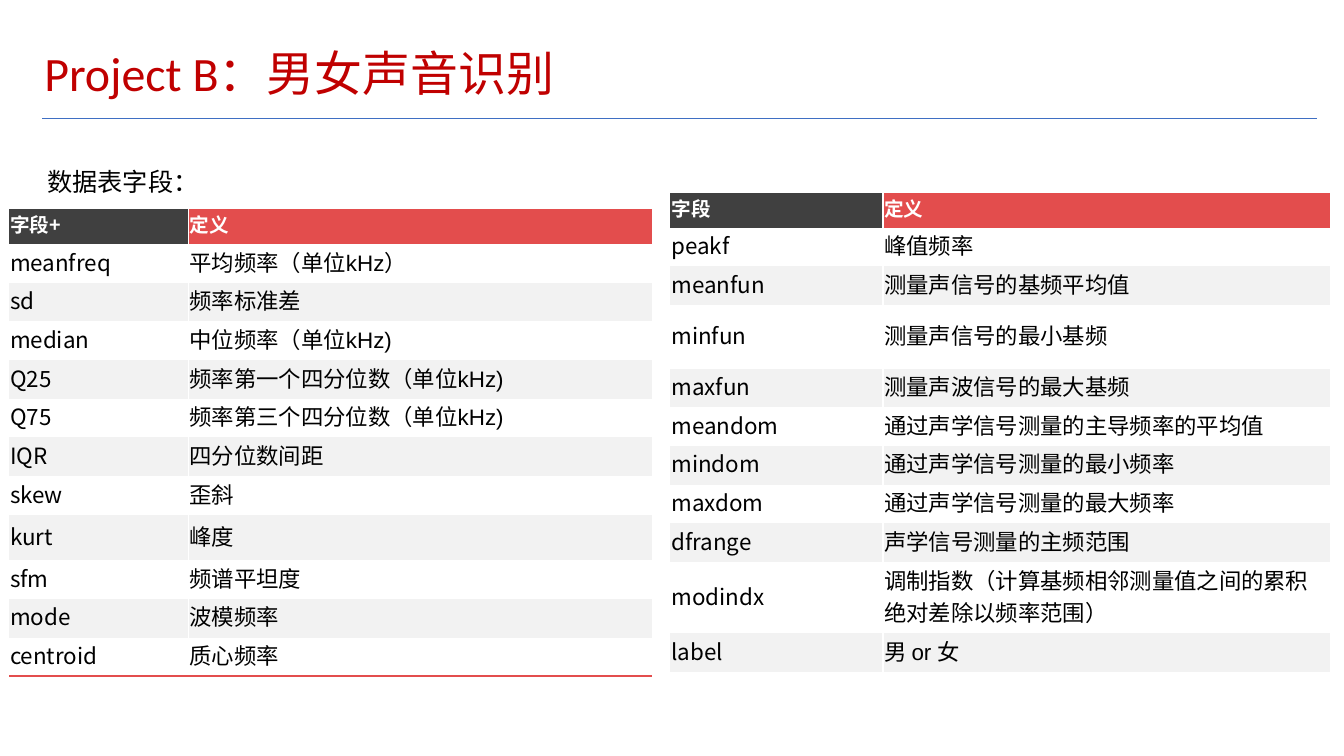
from dataclasses import dataclass
from typing import Any

from lxml.etree import SubElement
from pptx import Presentation
from pptx.dml.color import RGBColor
from pptx.enum.shapes import MSO_CONNECTOR
from pptx.enum.text import MSO_ANCHOR
from pptx.oxml import parse_xml
from pptx.oxml.ns import nsdecls, qn
from pptx.slide import Slide
from pptx.util import Inches, Pt


@dataclass(frozen=True)
class Theme:
    title: str = "C00000"
    rule: str = "3F6FC3"
    text: str = "000000"
    white: str = "FFFFFF"
    band: str = "F2F2F2"
    dark: str = "404040"
    accent: str = "E34D4D"
    latin: str = "Calibri"
    field: str = "Noto Sans CJK SC"
    definition: str = "Arial"
    east_asian: str = "Noto Sans CJK SC"
    title_size: float = 34.2
    lead_size: float = 18
    header_size: float = 14
    body_size: float = 16
    border: float = 1.5


THEME = Theme()
NO_STYLE_ID = "{2D5ABB26-0587-4C30-8999-92F81FD0307C}"


@dataclass(frozen=True)
class TextBlock:
    text: str
    box: tuple[float, float, float, float]
    size: float
    color: str
    frame: dict[str, Any]
    paragraph: dict[str, Any]


@dataclass(frozen=True)
class FieldTable:
    left: float
    top: float
    height: float
    columns: tuple[float, float]
    fixed_rows: dict[int, float]
    header: tuple[str, str]
    rows: list[tuple[str, str]]
    closing_line: bool = False

    def row_heights(self) -> list[float]:
        """Rows without a fixed height share what is left equally."""
        count = len(self.rows) + 1
        free = self.height - sum(self.fixed_rows.values())
        shared = free / (count - len(self.fixed_rows))
        return [self.fixed_rows.get(row, shared) for row in range(count)]


TITLE = TextBlock(
    "Project B：男女声音识别", (0.39, 0.4, 11.13, 0.71), THEME.title_size, THEME.title,
    {"vertical_anchor": MSO_ANCHOR.MIDDLE}, {"line_spacing": 0.9},
)
LEAD = TextBlock(
    "数据表字段：", (0.42, 1.45, 6.77, 4.6), THEME.lead_size, THEME.text,
    {"vertical_anchor": MSO_ANCHOR.TOP}, {"line_spacing": 1.5},
)
SIGNAL_FIELDS = FieldTable(
    6.65, 1.91, 4.76, (2.11, 4.43), {0: 0.35, 3: 0.63, 9: 0.71}, ("字段", "定义"),
    [
        ("peakf", "峰值频率"),
        ("meanfun", "测量声信号的基频平均值"),
        ("minfun", "测量声信号的最小基频"),
        ("maxfun", "测量声波信号的最大基频"),
        ("meandom", "通过声学信号测量的主导频率的平均值"),
        ("mindom", "通过声学信号测量的最小频率"),
        ("maxdom", "通过声学信号测量的最大频率"),
        ("dfrange", "声学信号测量的主频范围"),
        ("modindx", "调制指数（计算基频相邻测量值之间的累积绝对差除以频率范围）"),
        ("label", "男 or 女"),
    ],
)
SPECTRUM_FIELDS = FieldTable(
    0.09, 2.07, 4.64, (1.78, 4.6), {0: 0.35, 8: 0.45}, ("字段+", "定义"),
    [
        ("meanfreq", "平均频率（单位kHz）"),
        ("sd", "频率标准差"),
        ("median", "中位频率（单位kHz)"),
        ("Q25", "频率第一个四分位数（单位kHz)"),
        ("Q75", "频率第三个四分位数（单位kHz)"),
        ("IQR", "四分位数间距"),
        ("skew", "歪斜"),
        ("kurt", "峰度"),
        ("sfm", "频谱平坦度"),
        ("mode", "波模频率"),
        ("centroid", "质心频率"),
    ],
    closing_line=True,
)


def apply(target: Any, values: dict[str, Any]) -> None:
    for name, value in values.items():
        setattr(target, name, value)


def write(paragraph: Any, text: str, color: str, **font: Any) -> None:
    run = paragraph.add_run()
    run.text = text
    run.font.color.rgb = RGBColor.from_string(color)
    apply(run.font, font)
    east_asian = SubElement(run.font._element, qn("a:ea"))
    east_asian.set("typeface", THEME.east_asian)


def add_text(slide: Slide, block: TextBlock) -> None:
    frame = slide.shapes.add_textbox(*map(Inches, block.box)).text_frame
    margins = {f"margin_{side}": Inches(0.05) for side in ("left", "top", "right", "bottom")}
    apply(frame, {"word_wrap": True, **margins, **block.frame})
    paragraph = frame.paragraphs[0]
    apply(paragraph, block.paragraph)
    write(paragraph, block.text, block.color, name=THEME.latin, size=Pt(block.size))


def add_rule(slide: Slide) -> None:
    rule = slide.shapes.add_connector(
        MSO_CONNECTOR.STRAIGHT, Inches(0.42), Inches(1.18), Inches(13.06), Inches(1.18)
    )
    rule.line.color.rgb = RGBColor.from_string(THEME.rule)
    rule.line.width = Pt(0.75)
    SubElement(rule._element.spPr, qn("a:effectLst"))


def set_borders(cell: Any, borders: dict[str, str]) -> None:
    """Border lines come before the fill in a cell's properties."""
    properties = cell._tc.get_or_add_tcPr()
    for index, (side, color) in enumerate(borders.items()):
        properties.insert(index, parse_xml(
            f'<a:ln{side} {nsdecls("a")} w="{Pt(THEME.border)}"><a:solidFill>'
            f'<a:srgbClr val="{color}"/></a:solidFill></a:ln{side}>'
        ))


def add_field_table(slide: Slide, spec: FieldTable) -> None:
    entries = [spec.header, *spec.rows]
    table = slide.shapes.add_table(
        len(entries), len(spec.columns), Inches(spec.left), Inches(spec.top),
        Inches(sum(spec.columns)), Inches(spec.height),
    ).table
    apply(table, {"first_row": False, "horz_banding": False})
    table._tbl.tblPr.find(qn("a:tableStyleId")).text = NO_STYLE_ID
    for column, width in zip(table.columns, spec.columns):
        column.width = Inches(width)

    for row, (entry, height) in enumerate(zip(entries, spec.row_heights())):
        table.rows[row].height = Inches(height)
        is_header = row == 0
        for column, text in enumerate(entry):
            cell = table.cell(row, column)
            apply(cell, {
                "margin_left": Inches(0.01),
                "margin_top": Inches(0.01),
                "margin_right": Inches(0.01),
                "margin_bottom": Inches(0.05),
                "vertical_anchor": MSO_ANCHOR.TOP if is_header else MSO_ANCHOR.MIDDLE,
            })
            # Header cells are coloured by column, body cells banded by row
            fills = (THEME.dark, THEME.accent) if is_header else (
                (THEME.band if row % 2 == 0 else THEME.white,) * 2
            )
            cell.fill.solid()
            cell.fill.fore_color.rgb = RGBColor.from_string(fills[column])
            borders = {"R" if column == 0 else "L": THEME.white}
            if spec.closing_line and row == len(entries) - 1:
                borders["B"] = THEME.accent
            set_borders(cell, borders)
            write(
                cell.text_frame.paragraphs[0], text,
                THEME.white if is_header else THEME.text,
                name=THEME.field if is_header or column == 0 else THEME.definition,
                size=Pt(THEME.header_size if is_header else THEME.body_size),
                bold=is_header,
            )


def main() -> None:
    deck = Presentation()
    apply(deck, {"slide_width": Inches(13.33), "slide_height": Inches(7.5)})
    slide = deck.slides.add_slide(deck.slide_layouts[6])

    # Heading
    add_rule(slide)
    add_text(slide, TITLE)
    add_text(slide, LEAD)

    # Field tables
    for spec in (SIGNAL_FIELDS, SPECTRUM_FIELDS):
        add_field_table(slide, spec)
    deck.save("out.pptx")


if __name__ == "__main__":
    main()
